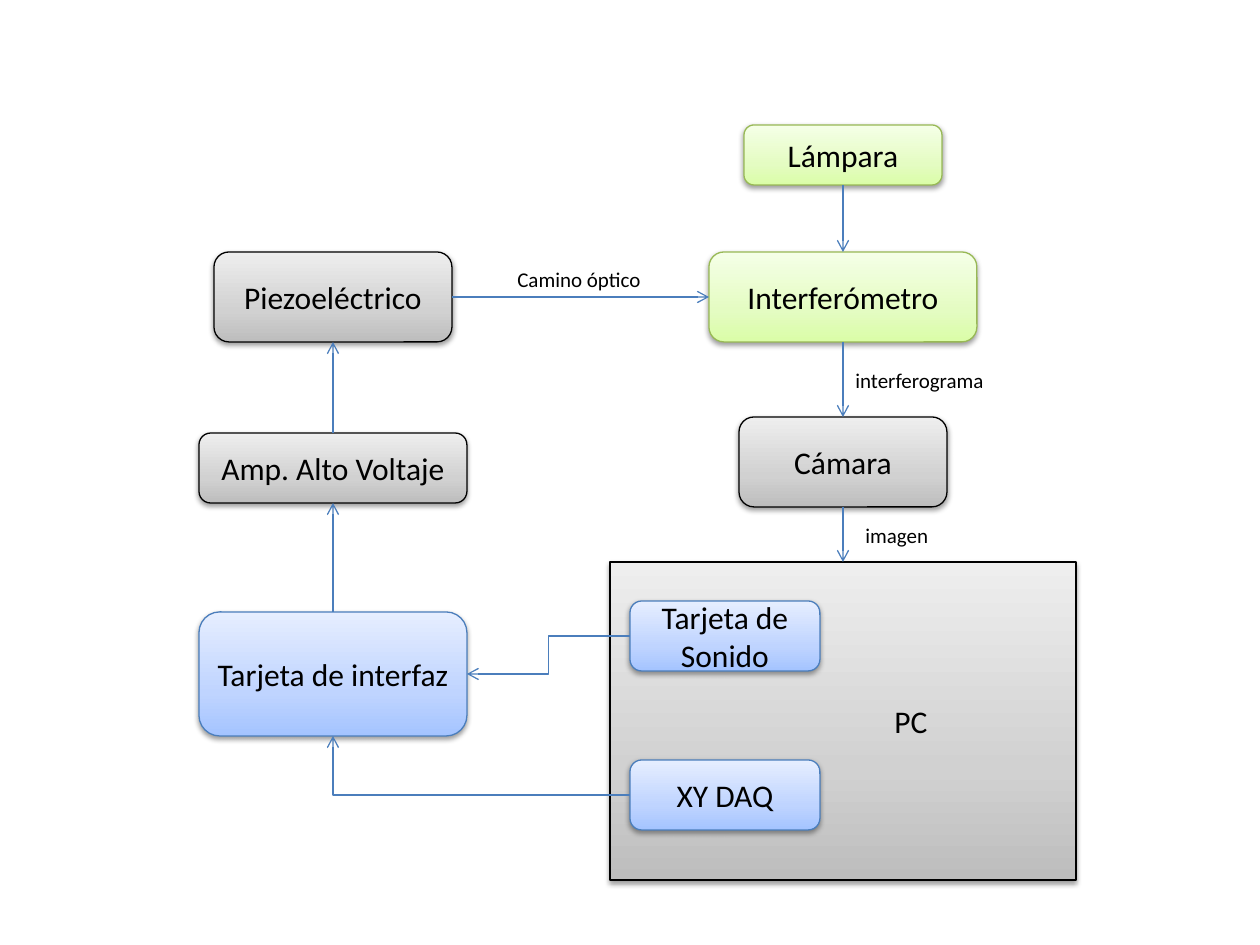
import pptx
import pptx.dml.color
import pptx.enum.shapes
import pptx.enum.text
import pptx.oxml
import pptx.oxml.ns
import pptx.util

EMU_PER_PX = 914400 // 126
PAGE_SIZE = (1260, 945)
LEFT, RIGHT, CARDS = 333, 843, 725  # column centres

THEME = {
    "font": "Calibri", "text": "000000", "box_size": 18, "label_size": 12,
    "arrow": "4B7EBC", "line_width": 0.75,
    # outline, then gradient from bottom to top
    "green": ("98B955", ("DAFDA7", "E4FCC2", "F5FFE7")),
    "gray": ("000000", ("BDBDBD", "D1D1D1", "EEEEEE")),
    "blue": ("4B7EBC", ("A4C4FF", "BFD4FF", "E6EEFF")),
}
GRADIENT_STOPS = (0, 35, 100)

# text, column centre, top, width, height, palette
BOXES = [
    ("Interferómetro", RIGHT, 252, 268, 90, "green"),
    ("Lámpara", RIGHT, 125, 198, 60, "green"),
    ("Cámara", RIGHT, 417, 208, 90, "gray"),
    ("PC", RIGHT, 562, 466, 318, "gray"),
    ("Tarjeta de Sonido", CARDS, 601, 190, 70, "blue"),
    ("XY DAQ", CARDS, 760, 190, 70, "blue"),
    ("Tarjeta de interfaz", LEFT, 612, 268, 124, "blue"),
    ("Piezoeléctrico", LEFT, 252, 238, 90, "gray"),
    ("Amp. Alto Voltaje", LEFT, 433, 268, 70, "gray"),
]
PC_INDENT = 136

# connection sites, in the order used by rectangles
TOP, LEFT_SIDE, BOTTOM, RIGHT_SIDE = range(4)
ARROWS = [
    ("Tarjeta de Sonido", LEFT_SIDE, "Tarjeta de interfaz", RIGHT_SIDE, "bentConnector3"),
    ("XY DAQ", LEFT_SIDE, "Tarjeta de interfaz", BOTTOM, "bentConnector2"),
    ("Piezoeléctrico", RIGHT_SIDE, "Interferómetro", LEFT_SIDE, None),
    ("Lámpara", BOTTOM, "Interferómetro", TOP, None),
    ("Amp. Alto Voltaje", TOP, "Piezoeléctrico", BOTTOM, None),
    ("Tarjeta de interfaz", TOP, "Amp. Alto Voltaje", BOTTOM, None),
    ("Interferómetro", BOTTOM, "Cámara", TOP, None),
    ("Cámara", BOTTOM, "PC", TOP, None),
]

# text, left, top, width, height
LABELS = [
    ("Camino óptico", 505, 260, 150, 38),
    ("interferograma", 843, 361, 155, 38),
    ("imagen", 853, 516, 89, 38),
]


def px(*lengths):
    return [pptx.util.Emu(length * EMU_PER_PX) for length in lengths]


def color(value):
    return pptx.dml.color.RGBColor.from_string(value)


def add_xml(parent, markup):
    namespace = pptx.oxml.ns.nsdecls("a")
    parent.append(pptx.oxml.parse_xml(markup.replace(" ", f" {namespace} ", 1)))


def write(shape, text, size):
    para = shape.text_frame.paragraphs[0]
    span = para.add_run()
    span.text = text
    span.font.name = THEME["font"]
    span.font.size = pptx.util.Pt(size)
    span.font.color.rgb = color(THEME["text"])
    return para


def style_line(line, value):
    line.color.rgb = color(value)
    line.width = pptx.util.Pt(THEME["line_width"])


def fill_gradient(shape, colors):
    shape.fill.gradient()
    shape.fill.gradient_angle = 90
    stops = shape._element.spPr.find(".//" + pptx.oxml.ns.qn("a:gsLst"))
    for stop in list(stops):
        stops.remove(stop)
    for position, value in zip(GRADIENT_STOPS, colors):
        add_xml(stops, f'<a:gs pos="{position * 1000}"><a:srgbClr val="{value}"/></a:gs>')


def add_shadow(shape):
    shape.shadow.inherit = False
    effects = shape._element.spPr.find(pptx.oxml.ns.qn("a:effectLst"))
    blur, distance = pptx.util.Pt(3.1), pptx.util.Pt(1.6)
    add_xml(effects, f'<a:outerShdw blurRad="{blur}" dist="{distance}" dir="5400000" '
                     'rotWithShape="0"><a:srgbClr val="000000"><a:alpha val="38000"/>'
                     '</a:srgbClr></a:outerShdw>')


def add_box(page, text, center, top, width, height, palette):
    kinds = pptx.enum.shapes.MSO_SHAPE
    kind = kinds.RECTANGLE if text == "PC" else kinds.ROUNDED_RECTANGLE
    box = page.shapes.add_shape(kind, *px(center - width // 2, top, width, height))
    outline, colors = THEME[palette]
    fill_gradient(box, colors)
    style_line(box.line, outline)
    add_shadow(box)
    box.text_frame.word_wrap = True
    box.text_frame.vertical_anchor = pptx.enum.text.MSO_ANCHOR.MIDDLE
    para = write(box, text, THEME["box_size"])
    para.alignment = pptx.enum.text.PP_ALIGN.CENTER
    if text == "PC":
        properties = para._p.get_or_add_pPr()
        properties.set("marL", str(PC_INDENT * EMU_PER_PX))
        properties.set("indent", "0")
    return box


def site_point(box, site):
    middle_x, middle_y = box.left + box.width // 2, box.top + box.height // 2
    return {
        TOP: (middle_x, box.top),
        LEFT_SIDE: (box.left, middle_y),
        BOTTOM: (middle_x, box.top + box.height),
        RIGHT_SIDE: (box.left + box.width, middle_y),
    }[site]


def add_arrow(page, start, start_site, end, end_site, bend):
    kinds = pptx.enum.shapes.MSO_CONNECTOR
    arrow = page.shapes.add_connector(
        kinds.ELBOW if bend else kinds.STRAIGHT,
        *site_point(start, start_site), *site_point(end, end_site))
    arrow.begin_connect(start, start_site)
    arrow.end_connect(end, end_site)
    properties = arrow._element.spPr
    if bend:
        properties.find(pptx.oxml.ns.qn("a:prstGeom")).set("prst", bend)
    style_line(arrow.line, THEME["arrow"])
    add_xml(arrow.line._get_or_add_ln(), '<a:tailEnd type="arrow"/>')
    add_xml(properties, "<a:effectLst />")


def add_label(page, text, *place):
    label = page.shapes.add_textbox(*px(*place))
    label.text_frame.word_wrap = False
    label.text_frame.auto_size = pptx.enum.text.MSO_AUTO_SIZE.SHAPE_TO_FIT_TEXT
    write(label, text, THEME["label_size"])


def main():
    deck = pptx.Presentation()
    deck.slide_width, deck.slide_height = px(*PAGE_SIZE)
    page = deck.slides.add_slide(deck.slide_layouts.get_by_name("Blank"))
    boxes = {entry[0]: add_box(page, *entry) for entry in BOXES}
    for start, start_site, end, end_site, bend in ARROWS:
        add_arrow(page, boxes[start], start_site, boxes[end], end_site, bend)
    for label in LABELS:
        add_label(page, *label)
    deck.save("out.pptx")


if __name__ == "__main__":
    main()
